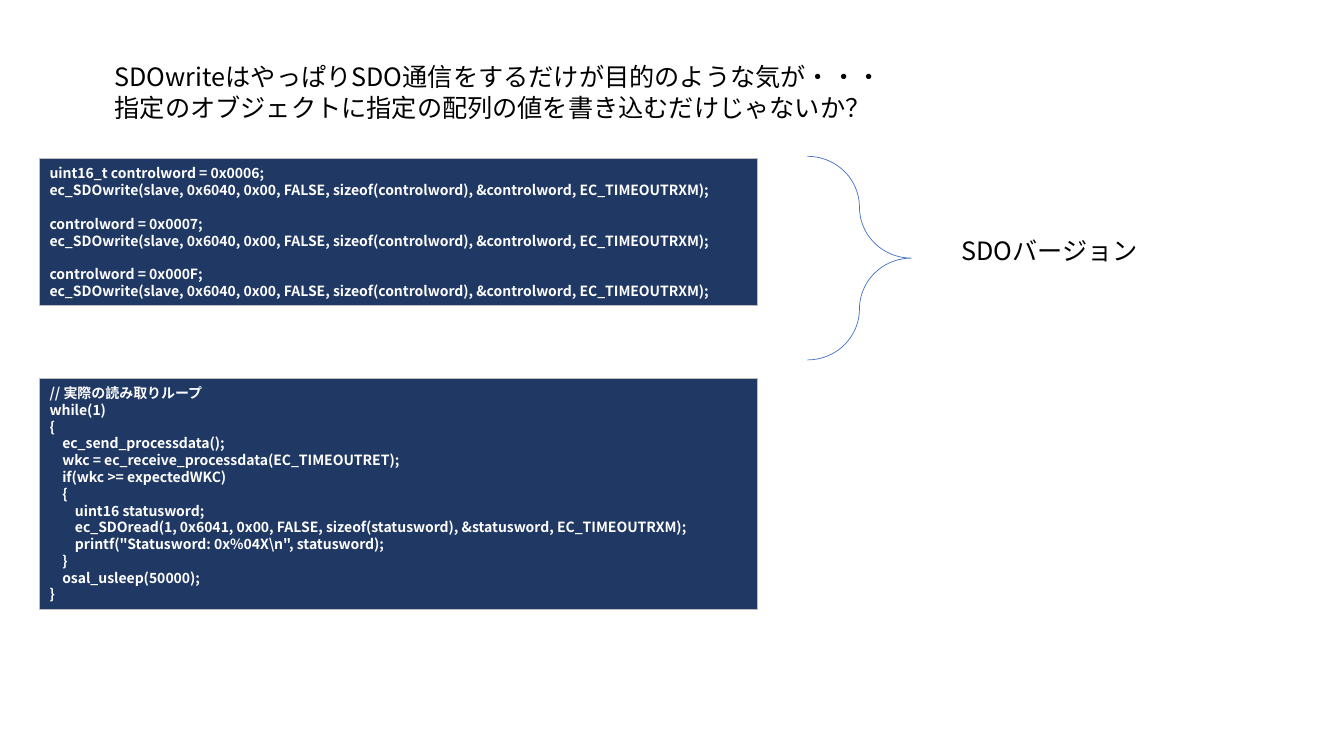
from pptx import Presentation
from pptx.dml.color import RGBColor
from pptx.enum.shapes import MSO_SHAPE
from pptx.enum.text import MSO_ANCHOR, PP_ALIGN
from pptx.oxml.ns import qn
from pptx.util import Cm, Pt
from lxml.etree import SubElement

FONT = "Noto Sans CJK JP"
COLORS = {"text": "000000", "code": "FFFFFF", "panel": "203864",
          "border": "BDBDBD", "brace": "4472C4"}

# Content: lines are (indent level, text); code comes in groups set apart by a gap
TITLE = [
    "SDOwriteはやっぱりSDO通信をするだけが目的のような気が・・・",
    "指定のオブジェクトに指定の配列の値を書き込むだけじゃないか？",
]
LABEL = ["SDOバージョン"]
SDO_WRITE = "ec_SDOwrite(slave, 0x6040, 0x00, FALSE, sizeof(controlword), &controlword, EC_TIMEOUTRXM);"
WRITE_GROUPS = [
    [(0, assignment), (0, SDO_WRITE)]
    for assignment in ("uint16_t controlword = 0x0006;",
                       "controlword = 0x0007;",
                       "controlword = 0x000F;")
]
READ_GROUPS = [[
    (0, "// 実際の読み取りループ"),
    (0, "while(1)"),
    (0, "{"),
    (1, "ec_send_processdata();"),
    (1, "wkc = ec_receive_processdata(EC_TIMEOUTRET);"),
    (1, "if(wkc >= expectedWKC)"),
    (1, "{"),
    (2, "uint16 statusword;"),
    (2, "ec_SDOread(1, 0x6041, 0x00, FALSE, sizeof(statusword), &statusword, EC_TIMEOUTRXM);"),
    (2, 'printf("Statusword: 0x%04X\\n", statusword);'),
    (1, "}"),
    (1, "osal_usleep(50000);"),
    (0, "}"),
]]

# Layout in centimetres, line pitch in points
PANEL_LEFT, PANEL_WIDTH = 1, 18.08
CODE_INDENT = 0.32
CODE_PITCH, TEXT_PITCH = 12, 22


def rgb(name):
    return RGBColor.from_string(COLORS[name])


def write_groups(shape, groups, size, pitch, color, bold=False):
    frame = shape.text_frame
    frame.word_wrap = True
    paragraph = None
    for group in groups:
        for position, (level, text) in enumerate(group):
            starts_later_group = paragraph is not None and position == 0
            paragraph = frame.paragraphs[0] if paragraph is None else frame.add_paragraph()
            paragraph.text = text
            paragraph.alignment = PP_ALIGN.LEFT
            paragraph.line_spacing = Pt(pitch)
            if starts_later_group:
                paragraph.space_before = Pt(pitch)
            font = paragraph.font
            font.name, font.size, font.bold = FONT, Pt(size), bold
            font.color.rgb = rgb(color)
            properties = paragraph._p.get_or_add_pPr()
            properties.set("marL", str(Cm(CODE_INDENT * level)))
            # Japanese characters take the same typeface
            SubElement(properties.find(qn("a:defRPr")), qn("a:ea"), typeface=FONT)
            for run in paragraph.runs:
                run_properties = run._r.get_or_add_rPr()
                SubElement(run_properties, qn("a:ea"), typeface=FONT)


def add_text(slide, lines, left, top, width, height):
    box = slide.shapes.add_textbox(Cm(left), Cm(top), Cm(width), Cm(height))
    write_groups(box, [[(0, line) for line in lines]], 18, TEXT_PITCH, "text")


def add_code_panel(slide, groups, top, height):
    panel = slide.shapes.add_shape(MSO_SHAPE.RECTANGLE, Cm(PANEL_LEFT), Cm(top),
                                   Cm(PANEL_WIDTH), Cm(height))
    panel.shadow.inherit = False
    panel.fill.solid()
    panel.fill.fore_color.rgb = rgb("panel")
    panel.line.color.rgb = rgb("border")
    panel.line.width = Pt(0.75)
    panel.text_frame.vertical_anchor = MSO_ANCHOR.MIDDLE
    write_groups(panel, groups, 10, CODE_PITCH, "code", bold=True)


def add_brace(slide, left, top, width, height):
    brace = slide.shapes.add_shape(MSO_SHAPE.RIGHT_BRACE, Cm(left), Cm(top),
                                   Cm(width), Cm(height))
    brace.shadow.inherit = False
    brace.adjustments[0] = 0.54
    brace.fill.background()
    brace.line.color.rgb = rgb("brace")
    brace.line.width = Pt(0.5)


def main():
    presentation = Presentation()
    presentation.slide_width, presentation.slide_height = Cm(33.87), Cm(19.05)
    slide = presentation.slides.add_slide(presentation.slide_layouts[6])

    # Heading
    add_text(slide, TITLE, 2.64, 1.4, 24.54, 2.57)
    # SDO write code, with brace and label
    add_code_panel(slide, WRITE_GROUPS, 4, 3.7)
    add_brace(slide, 20.35, 3.94, 2.62, 5.13)
    add_text(slide, LABEL, 23.98, 5.79, 5.97, 1.02)
    # Read loop code
    add_code_panel(slide, READ_GROUPS, 9.53, 5.82)

    presentation.save("out.pptx")


if __name__ == "__main__":
    main()
